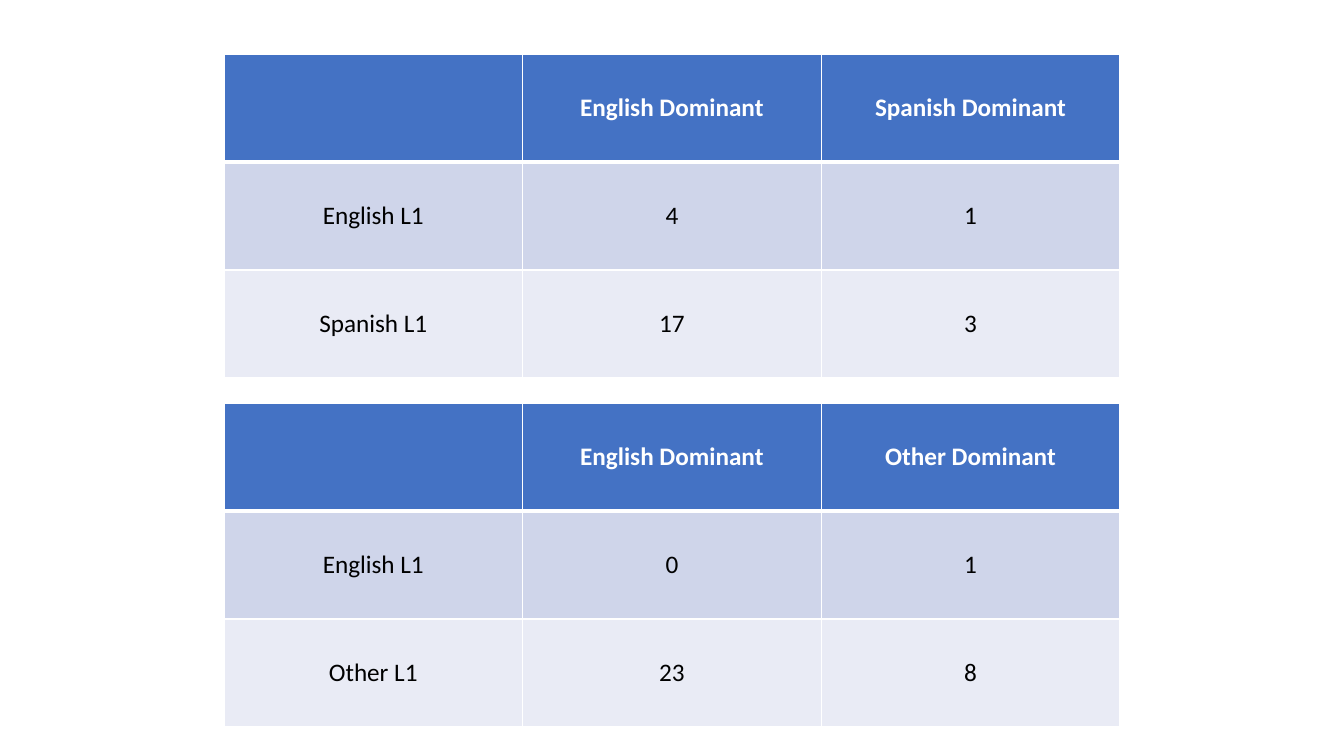
import dataclasses

import lxml.etree
import pptx
import pptx.dml.color
import pptx.enum.text
import pptx.oxml.ns
import pptx.table
import pptx.util

PX_PER_INCH = 100.8
SLIDE_WIDTH, SLIDE_HEIGHT = 1344, 756
TABLE_LEFT, TABLE_WIDTH, ROW_HEIGHT = 224, 896, 108
FONT, FONT_SIZE = "Calibri", 18
WHITE, BLACK = "FFFFFF", "000000"
ROW_FILLS = ("4472C4", "CFD5EA", "E9EBF5")
THIN, THICK = 1, 3


@dataclasses.dataclass(frozen=True)
class DominanceTable:
    top: int
    rows: tuple[tuple[str, ...], ...]


DOMINANCE_TABLES = (
    DominanceTable(54, (
        ("", "English Dominant", "Spanish Dominant"),
        ("English L1", "4", "1"),
        ("Spanish L1", "17", "3"),
    )),
    DominanceTable(403, (
        ("", "English Dominant", "Other Dominant"),
        ("English L1", "0", "1"),
        ("Other L1", "23", "8"),
    )),
)


def emu(px: int) -> pptx.util.Emu:
    return pptx.util.Emu(round(px * 914400 / PX_PER_INCH))


def rgb(value: str) -> pptx.dml.color.RGBColor:
    return pptx.dml.color.RGBColor.from_string(value)


def add_borders(cell: pptx.table._Cell, row: int) -> None:
    qn = pptx.oxml.ns.qn
    properties = cell._tc.get_or_add_tcPr()
    widths = {
        "L": THIN,
        "R": THIN,
        "T": THICK if row == 1 else THIN,
        "B": THICK if row == 0 else THIN,
    }
    for side, width in widths.items():
        border = lxml.etree.SubElement(
            properties, qn(f"a:ln{side}"), w=str(pptx.util.Pt(width))
        )
        fill = lxml.etree.SubElement(border, qn("a:solidFill"))
        lxml.etree.SubElement(fill, qn("a:srgbClr"), val=WHITE)


def fill_cell(cell: pptx.table._Cell, text: str, row: int) -> None:
    add_borders(cell, row)
    cell.fill.solid()
    cell.fill.fore_color.rgb = rgb(ROW_FILLS[row])
    cell.vertical_anchor = pptx.enum.text.MSO_ANCHOR.MIDDLE
    if not text:
        return
    paragraph = cell.text_frame.paragraphs[0]
    paragraph.alignment = pptx.enum.text.PP_ALIGN.CENTER
    run = paragraph.add_run()
    run.text = text
    run.font.name = FONT
    run.font.size = pptx.util.Pt(FONT_SIZE)
    run.font.bold = row == 0
    run.font.color.rgb = rgb(WHITE if row == 0 else BLACK)


def draw_table(slide: pptx.slide.Slide, dominance: DominanceTable) -> None:
    row_count, column_count = len(dominance.rows), len(dominance.rows[0])
    table = slide.shapes.add_table(
        row_count, column_count, emu(TABLE_LEFT), emu(dominance.top),
        emu(TABLE_WIDTH), emu(ROW_HEIGHT * row_count),
    ).table
    for row, texts in enumerate(dominance.rows):
        for column, text in enumerate(texts):
            fill_cell(table.cell(row, column), text, row)


def main() -> None:
    """Build the slide comparing first language with dominant language."""
    presentation = pptx.Presentation()
    presentation.slide_width = emu(SLIDE_WIDTH)
    presentation.slide_height = emu(SLIDE_HEIGHT)
    slide = presentation.slides.add_slide(presentation.slide_layouts[6])
    for dominance in DOMINANCE_TABLES:
        draw_table(slide, dominance)
    presentation.save("out.pptx")


if __name__ == "__main__":
    main()
